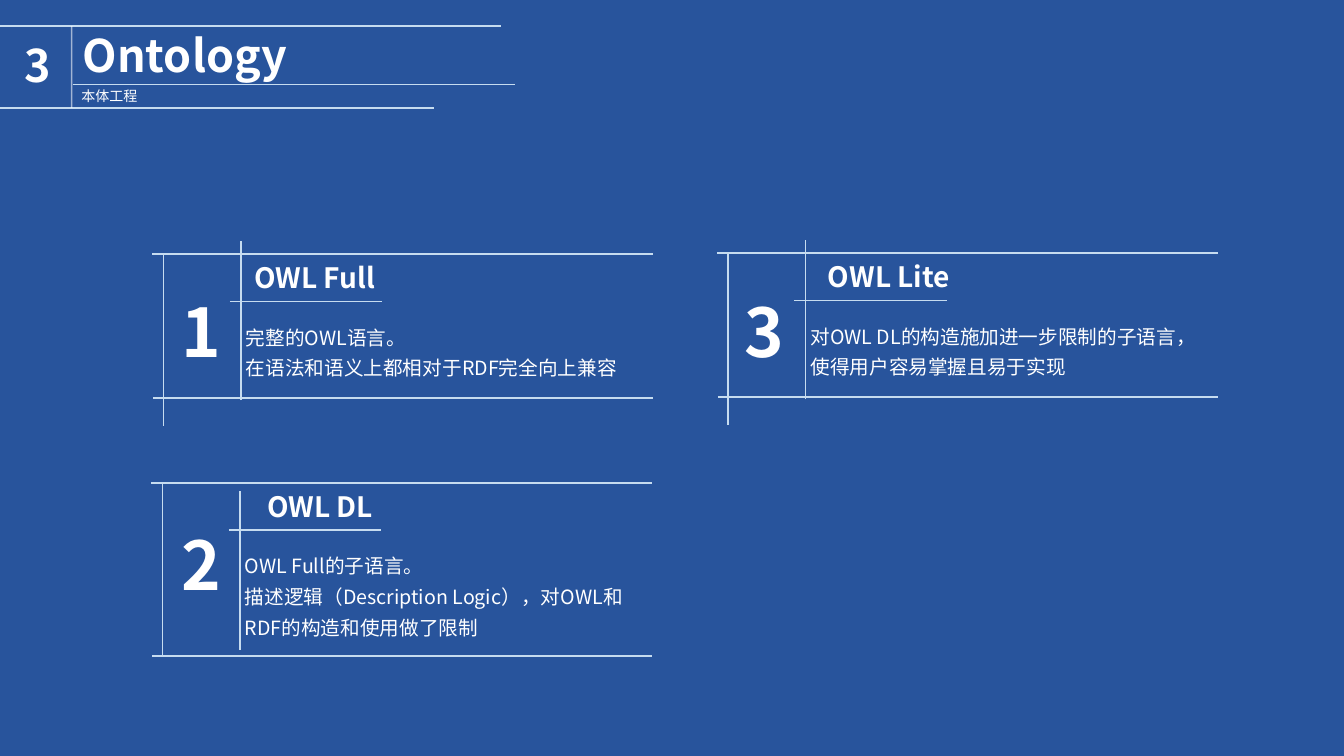
import pptx
import pptx.dml.color
import pptx.enum.text
import pptx.oxml.ns
import pptx.oxml.xmlchemy
import pptx.util
import lxml.etree
from dataclasses import dataclass

Inches = pptx.util.Inches
ALIGN = pptx.enum.text.PP_ALIGN
qn = pptx.oxml.ns.qn

BLUE = pptx.dml.color.RGBColor(0x28, 0x54, 0x9C)
PALE = pptx.dml.color.RGBColor(0xC6, 0xDC, 0xF0)
WHITE = pptx.dml.color.RGBColor(0xFF, 0xFF, 0xFF)
FONT = "Noto Sans CJK SC"


@dataclass
class Card:
    left: float
    top: float
    height: float
    number: str
    heading: str
    paragraphs: list
    heading_right: float
    number_left: float = 0.19
    number_top: float = 0.31
    inner_top: float = -0.13


CARDS = [
    Card(1.51, 2.52, 1.43, "1", "OWL Full",
         ["完整的OWL语言。", "在语法和语义上都相对于RDF完全向上兼容"], 2.31),
    Card(1.5, 4.79, 1.72, "2", "OWL DL",
         ["OWL Full的子语言。",
          "描述逻辑（Description Logic），对OWL和RDF的构造和使用做了限制"],
         2.3, number_left=0.2, number_top=0.35, inner_top=0.08),
    Card(7.11, 2.51, 1.43, "3", "OWL Lite",
         ["对OWL DL的构造施加进一步限制的子语言，使得用户容易掌握且易于实现"],
         2.41, number_left=0.18, number_top=0.32),
]


def write_text(page, paragraphs, left, top, width, height, size, bold=False,
               align=ALIGN.LEFT, spacing=None, wrap=True, box=None):
    """Fill the given box, or a new text box, with formatted paragraphs."""
    if box is None:
        box = page.shapes.add_textbox(0, 0, 0, 0)
    box.left, box.top = Inches(left), Inches(top)
    box.width, box.height = Inches(width), Inches(height)
    frame = box.text_frame
    frame.word_wrap = wrap
    frame.auto_size = pptx.enum.text.MSO_AUTO_SIZE.SHAPE_TO_FIT_TEXT
    frame.vertical_anchor = pptx.enum.text.MSO_ANCHOR.TOP
    for index, text in enumerate(paragraphs):
        para = frame.add_paragraph() if index else frame.paragraphs[0]
        para.alignment = align
        para.line_spacing = spacing or 1.0
        para.space_before = pptx.util.Pt(0)
        span = para.add_run()
        span.text = text
        span.font.size = pptx.util.Pt(size)
        span.font.bold = bold
        span.font.color.rgb = WHITE
        span.font.name = FONT
        # East Asian characters use the same font
        east_asian = lxml.etree.Element(qn("a:ea"), typeface=FONT)
        span.font._element.find(qn("a:latin")).addnext(east_asian)


def draw_line(page, x1, y1, x2, y2, color=PALE, opacity=None):
    line = page.shapes.add_connector(
        pptx.enum.shapes.MSO_CONNECTOR.STRAIGHT,
        Inches(x1), Inches(y1), Inches(x2), Inches(y2))
    line.line.width = pptx.util.Pt(1)
    line.line.color.rgb = color
    properties = line._element.spPr
    if opacity is not None:
        shade = properties.find(".//" + qn("a:srgbClr"))
        lxml.etree.SubElement(shade, qn("a:alpha"), val=str(opacity * 1000))
    lxml.etree.SubElement(properties, qn("a:effectLst"))


def add_header(page, top):
    # Section number
    write_text(page, ["3"], 0.14, top + 0.07, 0.44, 0.64, 32, bold=True)
    # Horizontal rules and the divider
    bottom = top + 0.81
    draw_line(page, 0, top, 4.97, top)
    draw_line(page, 0, bottom, 4.3, bottom)
    draw_line(page, 0.72, top + 0.58, 5.11, top + 0.58)
    draw_line(page, 0.71, top, 0.71, bottom, color=WHITE, opacity=56)
    # Title and subtitle
    write_text(page, ["Ontology"], 0.72, top - 0.04, 2.32, 0.64, 32, bold=True,
               wrap=False, box=page.shapes.title)
    write_text(page, ["本体工程"], 0.71, top + 0.56, 0.76, 0.27, 10, wrap=False)


def add_card(page, card):
    left, top = card.left, card.top
    right, bottom = left + 4.97, top + card.height
    outer, inner = left + 0.11, left + 0.88
    inner_top = top + card.inner_top
    # Frame rules
    draw_line(page, left, top, right, top)
    draw_line(page, left + 0.01, bottom, right, bottom)
    draw_line(page, outer, top, outer, top + 1.71)
    draw_line(page, inner, inner_top + 1.58, inner, inner_top)
    draw_line(page, left + 0.77, top + 0.47, left + 2.28, top + 0.47)
    # Number, heading and description
    write_text(page, [card.number], left + card.number_left, top + card.number_top,
               0.62, 0.91, 48, bold=True, wrap=False)
    write_text(page, [card.heading], left + card.heading_right - 1.55, top + 0.02,
               1.55, 0.44, 20, bold=True, align=ALIGN.RIGHT)
    write_text(page, card.paragraphs, left + 0.83, top + 0.59,
               4, card.height - 0.71, 14, spacing=1.3)


def main():
    deck = pptx.Presentation()
    deck.slide_width, deck.slide_height = Inches(13.33), Inches(7.5)
    page = deck.slides.add_slide(deck.slide_layouts.get_by_name("Title Only"))
    page.background.fill.solid()
    page.background.fill.fore_color.rgb = BLUE
    add_header(page, 0.26)
    for card in CARDS:
        add_card(page, card)
    deck.save("out.pptx")


if __name__ == "__main__":
    import pptx.enum.shapes
    main()
